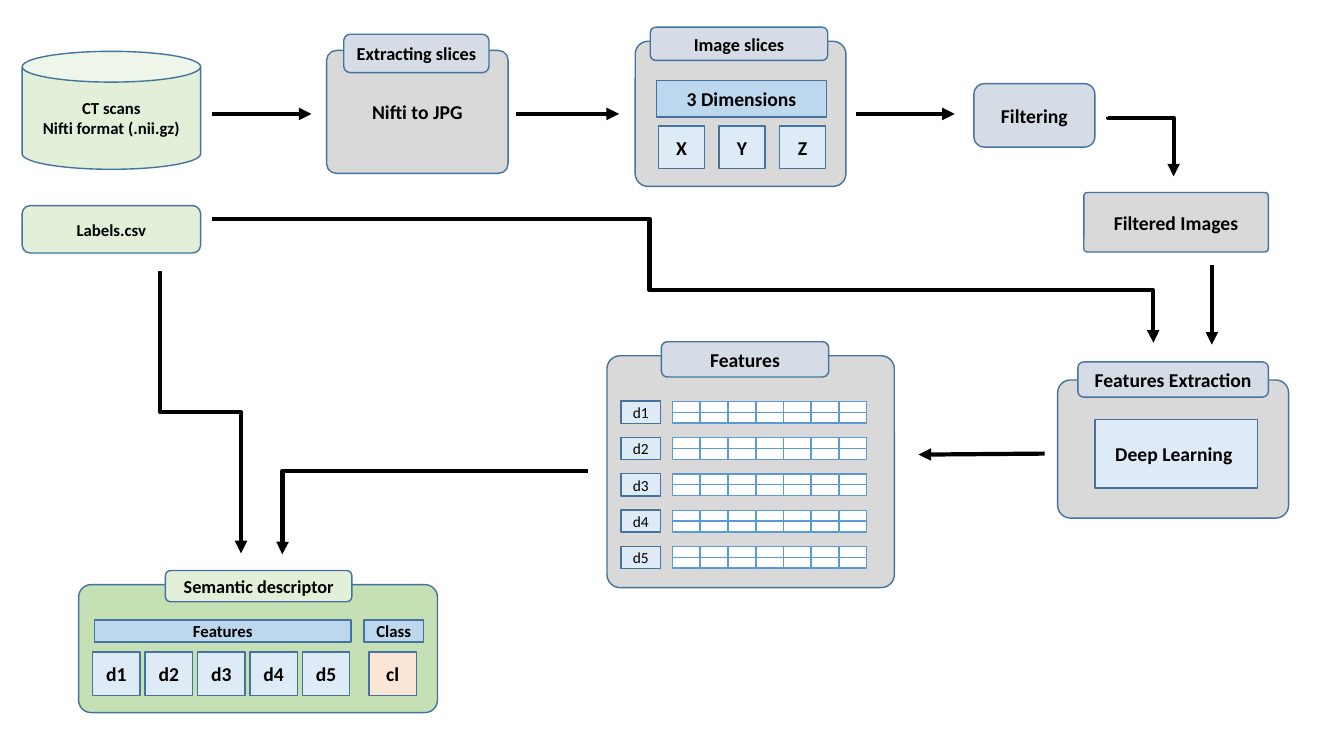
from lxml import etree
from pptx import Presentation
from pptx import util as u
from pptx.dml.color import RGBColor
from pptx.enum import shapes, text
from pptx.oxml.ns import qn

COLORS = {
    "outline": "43739E", "cell_outline": "5B9BD5", "black": "000000", "white": "FFFFFF",
    "grey": "D9D9D9", "slate": "D6DCE5", "blue": "BDD7EE", "pale_blue": "DEEBF7",
    "green": "C5E0B4", "pale_green": "E2F0D9", "peach": "FBE5D6",
}
FONT = "Calibri"
KIND = shapes.MSO_SHAPE
ROW_PITCH = 0.36


def color(name):
    """Return the named palette colour."""
    return RGBColor.from_string(COLORS[name])


def add_block(slide, box, fill, lines=(), size=14, kind=KIND.RECTANGLE, bold=True,
              adjust=(), outline="outline"):
    """Draw one outlined shape with centred lines of text."""
    shape = slide.shapes.add_shape(kind, *(u.Inches(length) for length in box))
    shape.shadow.inherit = False
    shape.fill.solid()
    shape.fill.fore_color.rgb = color(fill)
    shape.line.color.rgb = color(outline)
    shape.line.width = u.Pt(1)
    for index, value in enumerate(adjust):
        shape.adjustments[index] = value
    frame = shape.text_frame
    frame.word_wrap = True
    frame.vertical_anchor = text.MSO_ANCHOR.MIDDLE
    frame.margin_left = frame.margin_right = frame.margin_top = frame.margin_bottom = 0
    for index, line in enumerate(lines):
        paragraph = frame.add_paragraph() if index else frame.paragraphs[0]
        paragraph.alignment = text.PP_ALIGN.CENTER
        run = paragraph.add_run()
        run.text = line
        run.font.name = FONT
        run.font.size = u.Pt(size)
        run.font.bold = bold
        run.font.color.rgb = color("black")
    return shape


def add_rounded(slide, box, fill, lines=(), size=14, adjust=()):
    """Draw a rounded block."""
    return add_block(slide, box, fill, lines, size, KIND.ROUNDED_RECTANGLE, adjust=adjust)


def add_panel(slide, box, corner, title, title_box, size=14, fill="grey",
              title_fill="slate", lines=()):
    """Draw a rounded panel whose title tab is offset from its corner."""
    left, top = box[:2]
    dx, dy, width, height = title_box
    add_rounded(slide, box, fill, lines, adjust=[corner])
    add_rounded(slide, (left + dx, top + dy, width, height), title_fill, [title], size)


def add_line(slide, start, end, bend=None, vertical=False, head=True):
    """Draw a straight or bent connector, optionally leaving vertically."""
    kind = shapes.MSO_CONNECTOR.STRAIGHT if bend is None else shapes.MSO_CONNECTOR.ELBOW
    connector = slide.shapes.add_connector(
        kind, *(u.Inches(length) for length in (*start, *end)))
    connector.line.color.rgb = color("black")
    connector.line.width = u.Pt(3)
    properties = connector._element.spPr
    etree.SubElement(properties, qn("a:effectLst"))
    if head:
        etree.SubElement(connector.line._get_or_add_ln(), qn("a:tailEnd"), type="triangle")
    if bend is not None:
        guides = properties.find(qn("a:prstGeom")).find(qn("a:avLst"))
        etree.SubElement(guides, qn("a:gd"), name="adj1", fmla=f"val {round(bend * 100000)}")
    if vertical:
        width, height = end[0] - start[0], end[1] - start[1]
        connector.left = u.Inches((start[0] + end[0] - height) / 2)
        connector.top = u.Inches((start[1] + end[1] - width) / 2)
        connector.width, connector.height = u.Inches(height), u.Inches(width)
        transform = properties.find(qn("a:xfrm"))
        transform.set("rot", "16200000")
        transform.set("flipH", "1")


def draw_inputs(slide, left, top, width):
    """Draw the scan store and the label file below it."""
    add_block(slide, (left, top, width, 1.17), "pale_green",
              ["CT scans", "Nifti format (.nii.gz)"], 12, KIND.CAN, adjust=[0.261])
    add_rounded(slide, (left, top + 1.53, width, 0.47), "pale_green", ["Labels.csv"], 12)


def draw_extraction(slide, left, top, width, height):
    """Draw the slice extraction panel."""
    add_panel(slide, (left, top, width, height), 0.08, "Extracting slices",
              (0.17, -0.16, 1.44, 0.38), 13, lines=["Nifti to JPG"])


def draw_image_slices(slide, left, top, width, height):
    """Draw the panel with the three slice dimensions."""
    add_panel(slide, (left, top, width, height), 0.089, "Image slices",
              (0.15, -0.14, 1.76, 0.33), 13)
    add_block(slide, (left + 0.21, top + 0.39, 1.69, 0.36), "blue", ["3 Dimensions"])
    for index, axis in enumerate("XYZ"):
        add_block(slide, (left + 0.23 + 0.6 * index, top + 0.84, 0.46, 0.42),
                  "pale_blue", [axis])


def draw_filtering(slide, left, top):
    """Draw the filtering step and its result."""
    add_rounded(slide, (left, top, 1.2, 0.63), "slate", ["Filtering"])
    add_rounded(slide, (left + 1.09, top + 1.08, 1.83, 0.59), "grey",
                ["Filtered Images"], adjust=[0.058])


def draw_feature_extraction(slide, left, top, width, height):
    """Draw the deep learning panel."""
    add_panel(slide, (left, top, width, height), 0.093, "Features Extraction",
              (0.2, -0.18, 1.89, 0.35))
    add_block(slide, (left + 0.37, top + 0.39, 1.61, 0.68), "pale_blue", ["Deep Learning "])


def draw_features(slide, left, top, width, height):
    """Draw the panel of five labelled feature rows."""
    add_panel(slide, (left, top, width, height), 0.056, "Features",
              (0.54, -0.14, 1.66, 0.35))
    for row in range(5):
        row_top = top + ROW_PITCH * row
        add_block(slide, (left + 0.14, row_top + 0.45, 0.39, 0.22), "pale_blue",
                  [f"d{row + 1}"], 11, bold=False)
        for column in range(7):
            add_block(slide, (left + 0.6 + 0.276 * column, row_top + 0.26, 0.37, 0.6),
                      "white", kind=KIND.MATH_EQUAL, adjust=[0.178, 0],
                      outline="cell_outline")


def draw_descriptor(slide, left, top, width, height):
    """Draw the semantic descriptor with its features and class."""
    add_panel(slide, (left, top, width, height), 0.098, "Semantic descriptor",
              (0.86, -0.14, 1.85, 0.31), 13, "green", "pale_green")
    for label, dx, label_width in (("Features", 0.16, 2.54), ("Class", 2.83, 0.59)):
        add_block(slide, (left + dx, top + 0.35, label_width, 0.22), "blue", [label], 12)
    for index in range(5):
        add_block(slide, (left + 0.14 + 0.52 * index, top + 0.67, 0.47, 0.43),
                  "pale_blue", [f"d{index + 1}"])
    add_block(slide, (left + 2.88, top + 0.67, 0.47, 0.43), "peach", ["cl"])


def draw_flow(slide):
    """Connect the steps of the pipeline."""
    for start, end in (
        ((2.1, 1.13), (3.09, 1.13)),
        ((5.12, 1.13), (6.14, 1.13)),
        ((8.49, 1.13), (9.47, 1.13)),
        ((12.02, 2.63), (12.02, 3.42)),
        ((10.36, 4.5), (9.11, 4.51)),
    ):
        add_line(slide, start, end)
    add_line(slide, (10.99, 1.16), (11.64, 1.75), 0.018, vertical=True)
    add_line(slide, (1.59, 2.69), (2.39, 5.49), 0.5, vertical=True)
    add_line(slide, (5.83, 4.67), (2.8, 5.5), 0.999)
    add_line(slide, (2.1, 2.17), (10.75, 2.88), 0.502, head=False)
    add_line(slide, (9.22, 2.88), (11.44, 3.4), 0.999)


def main():
    """Build the pipeline slide."""
    presentation = Presentation()
    presentation.slide_width = u.Inches(13.33)
    presentation.slide_height = u.Inches(7.5)
    slide = presentation.slides.add_slide(presentation.slide_layouts[6])
    draw_inputs(slide, 0.22, 0.51, 1.77)
    draw_extraction(slide, 3.24, 0.5, 1.8, 1.22)
    draw_image_slices(slide, 6.3, 0.41, 2.09, 1.44)
    draw_filtering(slide, 9.66, 0.83)
    draw_feature_extraction(slide, 10.49, 3.77, 2.29, 1.37)
    draw_features(slide, 6.02, 3.53, 2.85, 2.3)
    draw_descriptor(slide, 0.78, 5.8, 3.56, 1.27)
    draw_flow(slide)
    presentation.save("out.pptx")


if __name__ == "__main__":
    main()
